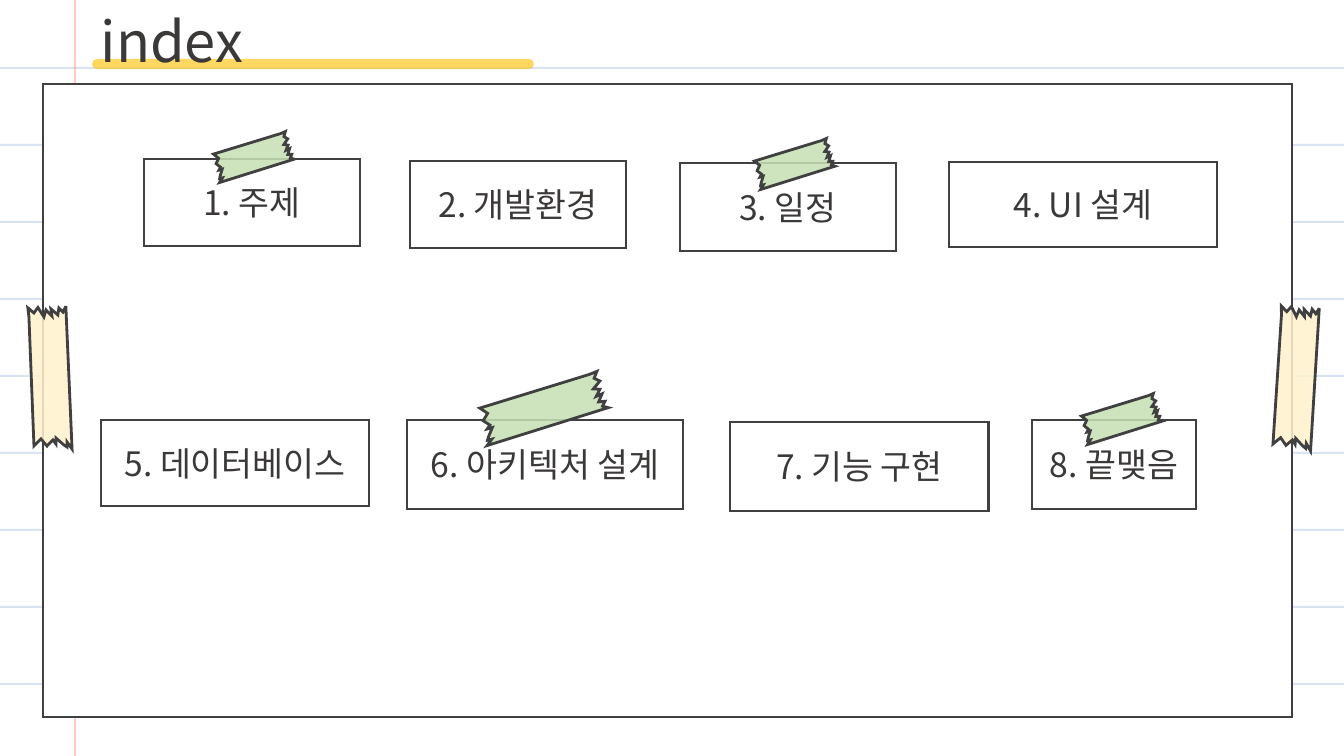
from dataclasses import dataclass

from pptx import Presentation
from pptx.dml.color import RGBColor
from pptx.enum.shapes import MSO_CONNECTOR, MSO_SHAPE
from pptx.enum.text import MSO_ANCHOR, PP_ALIGN
from pptx.oxml.ns import qn
from pptx.oxml.xmlchemy import OxmlElement
from pptx.shapes.autoshape import Shape
from pptx.shapes.shapetree import GroupShapes, SlideShapes
from pptx.text.text import TextFrame
from pptx.util import Emu, Pt

RECTANGLE = MSO_SHAPE.RECTANGLE
STRAIGHT = MSO_CONNECTOR.STRAIGHT
MIDDLE = MSO_ANCHOR.MIDDLE
LEFT = PP_ALIGN.LEFT
CENTER = PP_ALIGN.CENTER

WHITE = RGBColor(0xFF, 0xFF, 0xFF)
INK = RGBColor(0x40, 0x40, 0x40)
TEXT = RGBColor(0x3B, 0x38, 0x38)
RULE_BLUE = RGBColor(0xDA, 0xE3, 0xF3)
MARGIN_RED = RGBColor(0xFF, 0x78, 0x76)
HIGHLIGHT = RGBColor(0xFF, 0xC0, 0x00)
CREAM = RGBColor(0xFF, 0xF2, 0xCC)
GREEN = RGBColor(0xC5, 0xE0, 0xB4)

FONT = "Noto Sans CJK KR"
EMU_PER_PX = 914400 / 100.8
SLIDE_WIDTH, SLIDE_HEIGHT = 1344, 756
RULE_TOP, RULE_STEP, RULE_COUNT, RULE_THICKNESS = 67, 77, 9, 2
TAPE_OPACITY = 86

TAPE_OUTLINE = [
    (7, 91), (1, 1373), (74, 1306), (131, 1379), (193, 1321), (222, 1363),
    (224, 1303), (301, 1376), (330, 1397), (333, 1347), (380, 1420),
    (380, 0), (349, 56), (310, 14), (297, 83), (230, 20), (237, 91),
    (180, 28), (157, 97), (101, 0), (58, 53), (0, 0),
]


@dataclass(frozen=True)
class Area:
    left: int
    top: int
    width: int
    height: int


@dataclass(frozen=True)
class Topic:
    label: str
    area: Area


@dataclass(frozen=True)
class Tape:
    area: Area
    rotation: float
    color: RGBColor


TOPICS = [
    Topic("1. 주제", Area(144, 159, 216, 87)),
    Topic("2. 개발환경", Area(410, 161, 216, 87)),
    Topic("3. 일정", Area(680, 163, 216, 88)),
    Topic("4. UI 설계", Area(949, 162, 268, 85)),
    Topic("5. 데이터베이스", Area(101, 420, 268, 86)),
    Topic("6. 아키텍처 설계", Area(407, 420, 276, 89)),
    Topic("7. 기능 구현", Area(730, 422, 259, 89)),
    Topic("8. 끝맺음", Area(1032, 420, 164, 89)),
]

TAPES = [
    Tape(Area(31, 307, 38, 143), 357.5, CREAM),
    Tape(Area(1277, 307, 38, 143), 3.5, CREAM),
    Tape(Area(238, 118, 29, 78), 72.6, GREEN),
    Tape(Area(779, 125, 29, 78), 72.6, GREEN),
    Tape(Area(523, 345, 38, 127), 72.6, GREEN),
    Tape(Area(1106, 380, 29, 78), 72.6, GREEN),
]


def px(length: int) -> Emu:
    return Emu(round(length * EMU_PER_PX))


def set_opacity(solid_fill, percent: int) -> None:
    alpha = OxmlElement("a:alpha")
    alpha.set("val", str(percent * 1000))
    solid_fill[0].append(alpha)


def style_shape(shape: Shape, color: RGBColor, *, outlined: bool = True, opacity: int = 100) -> None:
    shape.shadow.inherit = False
    shape.fill.solid()
    shape.fill.fore_color.rgb = color
    properties = shape.element.spPr
    if opacity < 100:
        set_opacity(properties.find(qn("a:solidFill")), opacity)
    if not outlined:
        shape.line.fill.background()
        return
    shape.line.color.rgb = INK
    shape.line.width = Pt(2)
    miter = OxmlElement("a:miter")
    miter.set("lim", "800000")
    properties.find(qn("a:ln")).append(miter)


def add_rectangle(shapes: SlideShapes | GroupShapes, area: Area, color: RGBColor, *,
                  outlined: bool = True, opacity: int = 100) -> Shape:
    shape = shapes.add_shape(RECTANGLE, px(area.left), px(area.top), px(area.width), px(area.height))
    style_shape(shape, color, outlined=outlined, opacity=opacity)
    return shape


def write_text(frame: TextFrame, text: str, *, size: int, alignment: PP_ALIGN = LEFT) -> None:
    frame.word_wrap = True
    paragraph = frame.paragraphs[0]
    paragraph.alignment = alignment
    run = paragraph.add_run()
    run.text = text
    run.font.size = Pt(size)
    run.font.name = FONT
    run.font.color.rgb = TEXT
    east_asian = OxmlElement("a:ea")
    east_asian.set("typeface", FONT)
    run.font._element.find(qn("a:latin")).addnext(east_asian)


def add_ruled_paper(shapes: SlideShapes) -> None:
    paper = shapes.add_group_shape().shapes
    for row in range(RULE_COUNT):
        area = Area(0, RULE_TOP + row * RULE_STEP, SLIDE_WIDTH, RULE_THICKNESS)
        add_rectangle(paper, area, RULE_BLUE, outlined=False)
    margin = Area(74, 0, RULE_THICKNESS, SLIDE_HEIGHT)
    add_rectangle(paper, margin, MARGIN_RED, outlined=False, opacity=38)


def add_title(shapes: SlideShapes) -> None:
    underline = shapes.add_connector(STRAIGHT, px(97), px(64), px(529), px(64))
    underline.line.color.rgb = HIGHLIGHT
    underline.line.width = Pt(7.25)
    properties = underline.element.spPr
    line = properties.find(qn("a:ln"))
    line.set("cap", "rnd")
    set_opacity(line.find(qn("a:solidFill")), 61)
    properties.append(OxmlElement("a:effectLst"))
    title = shapes.add_textbox(px(91), px(2), px(843), px(78))
    write_text(title.text_frame, "index", size=40)


def add_topic(shapes: SlideShapes, topic: Topic) -> None:
    shape = add_rectangle(shapes, topic.area, WHITE)
    shape.text_frame.vertical_anchor = MIDDLE
    write_text(shape.text_frame, topic.label, size=24, alignment=CENTER)


def add_tape(shapes: SlideShapes, tape: Tape) -> None:
    builder = shapes.build_freeform(*TAPE_OUTLINE[0], scale=EMU_PER_PX / 10)
    builder.add_line_segments(TAPE_OUTLINE[1:], close=True)
    shape = builder.convert_to_shape()
    shape.left, shape.top = px(tape.area.left), px(tape.area.top)
    shape.width, shape.height = px(tape.area.width), px(tape.area.height)
    shape.rotation = tape.rotation
    style_shape(shape, tape.color, opacity=TAPE_OPACITY)


def main() -> None:
    presentation = Presentation()
    presentation.slide_width = px(SLIDE_WIDTH)
    presentation.slide_height = px(SLIDE_HEIGHT)
    slide = presentation.slides.add_slide(presentation.slide_layouts[6])
    add_ruled_paper(slide.shapes)
    add_rectangle(slide.shapes, Area(43, 84, 1249, 633), WHITE)
    add_title(slide.shapes)
    for topic in TOPICS:
        add_topic(slide.shapes, topic)
    for tape in TAPES:
        add_tape(slide.shapes, tape)
    presentation.save("out.pptx")


if __name__ == "__main__":
    main()
